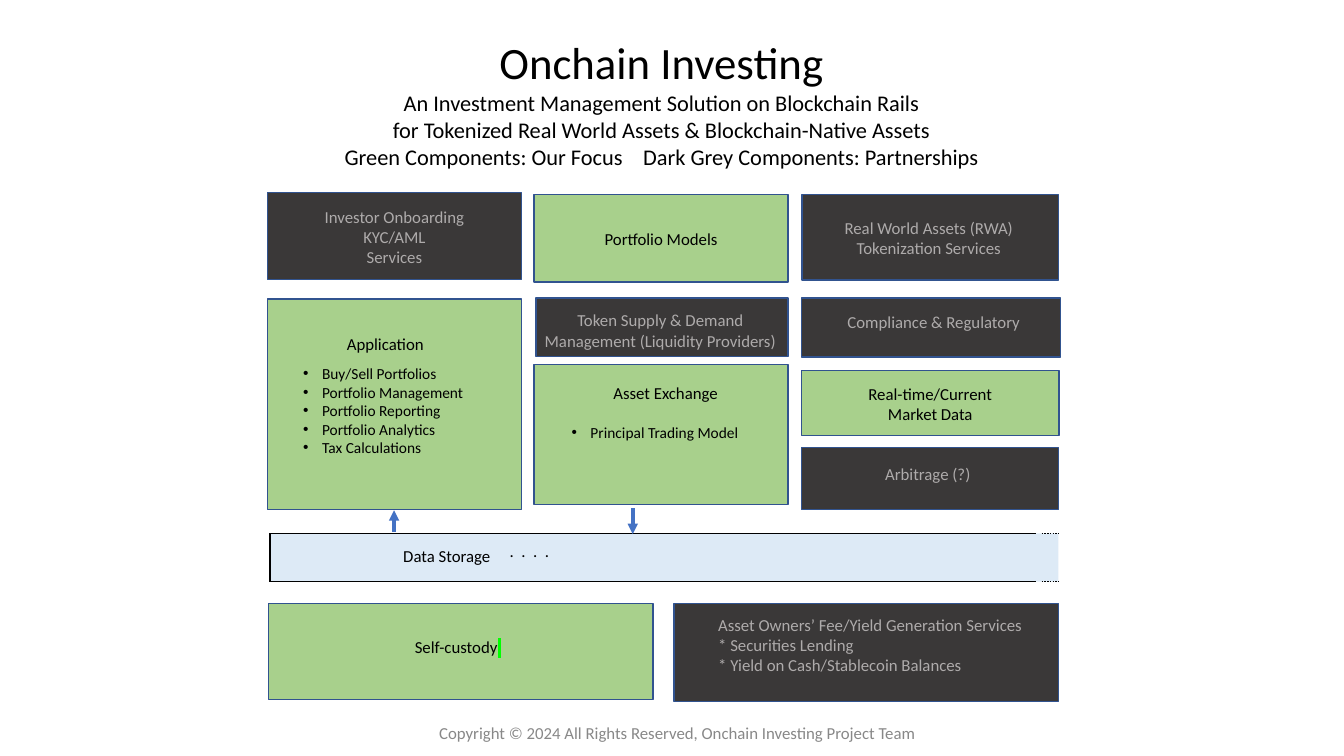
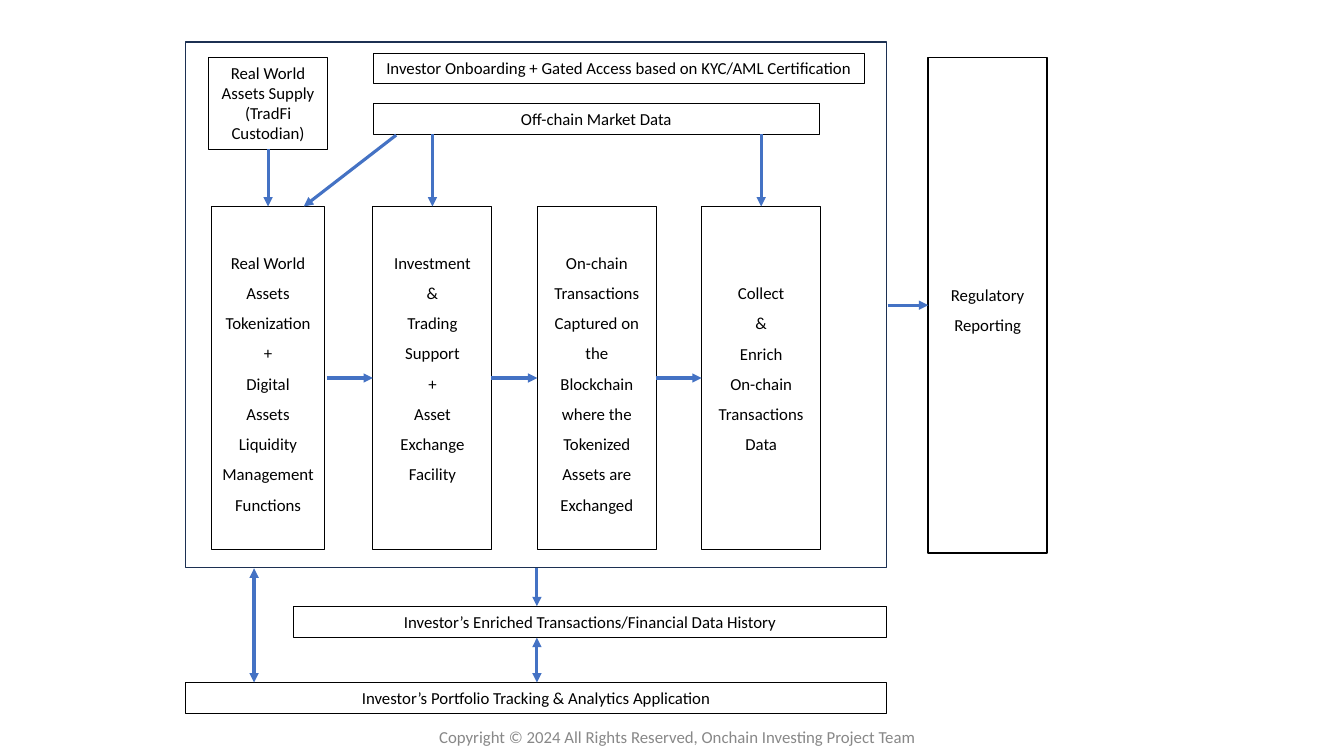
import pptx
import pptx.util
import pptx.dml.color
import pptx.enum.dml
import pptx.enum.shapes
import pptx.enum.text
import pptx.oxml.ns
import lxml.etree

Pt = pptx.util.Pt
qn = pptx.oxml.ns.qn
Align = pptx.enum.text.PP_ALIGN
Anchor = pptx.enum.text.MSO_ANCHOR
Fit = pptx.enum.text.MSO_AUTO_SIZE

FONT = "Calibri"
COLORS = {
    "black": "000000", "ink": "0C0C0C", "grey": "AEABAB", "foot": "888888",
    "dark": "3A3838", "green": "A8D08C", "pale": "DDEAF6", "lime": "00FF00",
    "edge": "31538F", "frame": "1C3052", "arrow": "4472C4",
}
FOOT = "Copyright © 2024 All Rights Reserved, Onchain Investing Project Team"


def shade(name):
    return pptx.dml.color.RGBColor.from_string(COLORS[name])


def dress(item, **values):
    for name, value in values.items():
        setattr(item, name, value)


def setup(frame, top=3.6, left=7, right=7, anchor=Anchor.TOP):
    dress(frame, word_wrap=True, auto_size=Fit.NONE, vertical_anchor=anchor,
          margin_top=Pt(top), margin_bottom=Pt(3.6),
          margin_left=Pt(left), margin_right=Pt(right))


def write(frame, lines, size=12, color="black", align=Align.CENTER, pitch=1):
    rows = []
    for line in lines:
        first = frame.paragraphs[0]
        row = first if not first.runs else frame.add_paragraph()
        dress(row, alignment=align, line_spacing=pitch,
              space_before=Pt(0), space_after=Pt(0))
        run = row.add_run()
        run.text = line
        dress(run.font, name=FONT, size=Pt(size))
        run.font.color.rgb = shade(color)
        rows.append(row)
    return rows


def bullets(frame, lines, left, gap):
    rows = write(frame, lines, 11, align=Align.LEFT)
    rows[0].space_before = Pt(gap)
    for row in rows:
        props = row._p.get_or_add_pPr()
        props.set("marL", str(int(Pt(left))))
        props.set("indent", str(int(Pt(-13.5))))
        lxml.etree.SubElement(props, qn("a:buFont"), typeface="Arial")
        lxml.etree.SubElement(props, qn("a:buChar"), char="•")


def label(slide, area, lines, size=12, color="black", align=Align.CENTER,
          anchor=Anchor.TOP):
    box = slide.shapes.add_textbox(*map(Pt, area))
    setup(box.text_frame, anchor=anchor)
    return write(box.text_frame, lines, size, color, align)


def block(slide, area, fill=None, line=None, width=1):
    kind = pptx.enum.shapes.MSO_SHAPE.RECTANGLE
    shape = slide.shapes.add_shape(kind, *map(Pt, area))
    shape.shadow.inherit = False
    if fill:
        shape.fill.solid()
        shape.fill.fore_color.rgb = shade(fill)
    else:
        shape.fill.background()
    if line:
        shape.line.color.rgb = shade(line)
        shape.line.width = Pt(width)
    else:
        shape.line.fill.background()
    return shape


def card(slide, area, lines, top, fill="dark", align=Align.CENTER, **sides):
    frame = block(slide, area, fill, "edge").text_frame
    setup(frame, top, **sides)
    write(frame, lines, color="grey" if fill == "dark" else "black", align=align)
    return frame


def panel(slide, area, lines, top=3.6, pitch=1, width=0.75):
    frame = block(slide, area, None, "black", width).text_frame
    setup(frame, top)
    write(frame, lines, pitch=pitch)


def stroke(slide, ends, color="black", width=1, dash=None, tips=()):
    kind = pptx.enum.shapes.MSO_CONNECTOR.STRAIGHT
    link = slide.shapes.add_connector(kind, *map(Pt, ends))
    link.line.color.rgb = shade(color)
    dress(link.line, width=Pt(width), dash_style=dash)
    props = link._element.spPr
    for tip in tips:
        lxml.etree.SubElement(props.find(qn("a:ln")), qn(tip), type="triangle")
    lxml.etree.SubElement(props, qn("a:effectLst"))


def arrow(slide, ends, width=2.25, both=False):
    tips = ("a:headEnd", "a:tailEnd") if both else ("a:tailEnd",)
    stroke(slide, ends, "arrow", width, tips=tips)


def footer(slide, top):
    label(slide, (296, top, 376, 29), [FOOT], color="foot", anchor=Anchor.MIDDLE)


def cursor(row):
    run = row.add_run()
    run.text = " "
    dress(run.font, name=FONT, size=Pt(12))
    run.font.color.rgb = shade("ink")
    mark = lxml.etree.Element(qn("a:highlight"))
    lxml.etree.SubElement(mark, qn("a:srgbClr"), val=COLORS["lime"])
    run._r.get_or_add_rPr().find(qn("a:solidFill")).addnext(mark)


def heading(slide):
    title = slide.shapes.title
    dress(title, left=Pt(196.5), top=Pt(21), width=Pt(552), height=Pt(46))
    setup(title.text_frame)
    write(title.text_frame, ["Onchain Investing"], 32)
    label(slide, (196.5, 60, 552, 46), [
        "An Investment Management Solution on Blockchain Rails",
        "for Tokenized Real World Assets & Blockchain-Native Assets"], 16)
    label(slide, (196.5, 99, 255.5, 27), ["Green Components: Our Focus"],
          16, align=Align.RIGHT)
    label(slide, (452.5, 99, 296, 27), ["Dark Grey Components: Partnerships"],
          16, align=Align.LEFT)


def storage(slide):
    left, top, right, base = 193, 381, 756, 415.5
    frame = block(slide, (left, top, right - left, base - top), "pale").text_frame
    setup(frame, 8.6, left=95)
    write(frame, ["Data Storage"], align=Align.LEFT)
    dots = label(slide, (357, 383, 62, 22), [". . . ."], align=Align.LEFT)
    dots[0].runs[0]._r.get_or_add_rPr().set("spc", "135")
    for y in (top, base):
        stroke(slide, (left, y, 740, y))
        stroke(slide, (744, y, right, y),
               dash=pptx.enum.dml.MSO_LINE.ROUND_DOT)
    stroke(slide, (left, top, left, base))


def overview(slide):
    heading(slide)
    card(slide, (191, 137.5, 181.5, 62),
         ["Investor Onboarding", "KYC/AML", "Services"], 10)
    card(slide, (381.5, 139, 181.5, 62.5), ["Portfolio Models"], 24.5, "green")
    card(slide, (573, 139, 183, 61),
         ["Real World Assets (RWA)", "Tokenization Services"], 16.6, right=9)
    app = card(slide, (191, 213.5, 181.5, 150.5), ["Application"], 25.2,
               "green", right=20)
    bullets(app, ["Buy/Sell Portfolios", "Portfolio Management",
                  "Portfolio Reporting", "Portfolio Analytics",
                  "Tax Calculations"], 32, 7)
    card(slide, (383, 213, 180, 41.5),
         ["Token Supply & Demand Management (Liquidity Providers)"], 8.6,
         left=4, right=6.5)
    trade = card(slide, (381.5, 260.5, 181.5, 100), ["Asset Exchange"], 13,
                 "green", left=13.5)
    bullets(trade, ["Principal Trading Model"], 26.8, 14.4)
    card(slide, (572.5, 213, 185, 42), ["Compliance & Regulatory"], 9.4, left=11)
    card(slide, (572.5, 264.5, 184, 46.5),
         ["Real-time/Current", "Market Data"], 9.4, "green")
    card(slide, (572.5, 319.5, 183.5, 44.5), ["Arbitrage (?)"], 12, right=10)
    storage(slide)
    own = card(slide, (192, 431, 274.5, 68.5), ["Self-custody"], 23.8,
               "green", right=11)
    cursor(own.paragraphs[0])
    card(slide, (481.5, 431, 274.5, 70),
         ["Asset Owners’ Fee/Yield Generation Services", "* Securities Lending",
          "* Yield on Cash/Stablecoin Balances"], 8, align=Align.LEFT, left=31.5)
    arrow(slide, (281.5, 380, 281.5, 364.5), 2.5)
    arrow(slide, (452, 363, 452, 381.5), 2.5)
    footer(slide, 509)


def process(slide):
    block(slide, (132.5, 30, 501, 375.5), None, "frame")
    steps = [
        (81, 25.6, ["Real World Assets Tokenization", "+", "Digital", "Assets",
                    "Liquidity Management Functions"]),
        (85, 25.6, ["Investment", "&", "Trading", "Support", "+",
                    "Asset Exchange Facility"]),
        (85, 25.6, ["On-chain", "Transactions", "Captured on the Blockchain "
                    "where the Tokenized Assets are Exchanged"]),
        (85, 47.3, ["Collect", "&", "Enrich", "On-chain", "Transactions", "Data"]),
    ]
    mids = [191.5 + 117.4 * i for i in range(len(steps))]
    for mid, (width, top, lines) in zip(mids, steps):
        panel(slide, (mid - width / 2, 147.5, width, 245), lines, top, 1.5)
    for start, end in zip(mids, mids[1:]):
        arrow(slide, (start + 42, 270, end - 42.5, 270))
    for area, text in [
        ((149, 41, 85, 65.5), "Real World Assets Supply (TradFi Custodian)"),
        ((266.5, 38, 351, 22),
         "Investor Onboarding + Gated Access based on KYC/AML Certification"),
        ((266.5, 74, 319, 22), "Off-chain Market Data"),
        ((209.5, 433.5, 424, 22),
         "Investor’s Enriched Transactions/Financial Data History"),
    ]:
        panel(slide, area, [text])
    panel(slide, (132.5, 487.5, 501, 22),
          ["Investor’s Portfolio Tracking & Analytics Application"], width=1)
    panel(slide, (663, 41, 85, 354), ["Regulatory", "Reporting"], 155, 1.5, 1)
    for ends in [
        (mids[0], 106.5, mids[0], 147.5), (283, 96.5, 217, 147.5),
        (mids[1], 96, mids[1], 147.5), (mids[3], 96, mids[3], 147.5),
        (634, 218, 663, 218), (383.5, 406, 383.5, 433),
    ]:
        arrow(slide, ends)
    arrow(slide, (383.5, 455.5, 383.5, 487.5), both=True)
    arrow(slide, (181.5, 406, 181.5, 487.5), both=True)
    footer(slide, 512)


def main():
    deck = pptx.Presentation()
    dress(deck, slide_width=Pt(960), slide_height=Pt(540))
    overview(deck.slides.add_slide(deck.slide_layouts[5]))
    process(deck.slides.add_slide(deck.slide_layouts[6]))
    deck.save("out.pptx")


if __name__ == "__main__":
    main()
